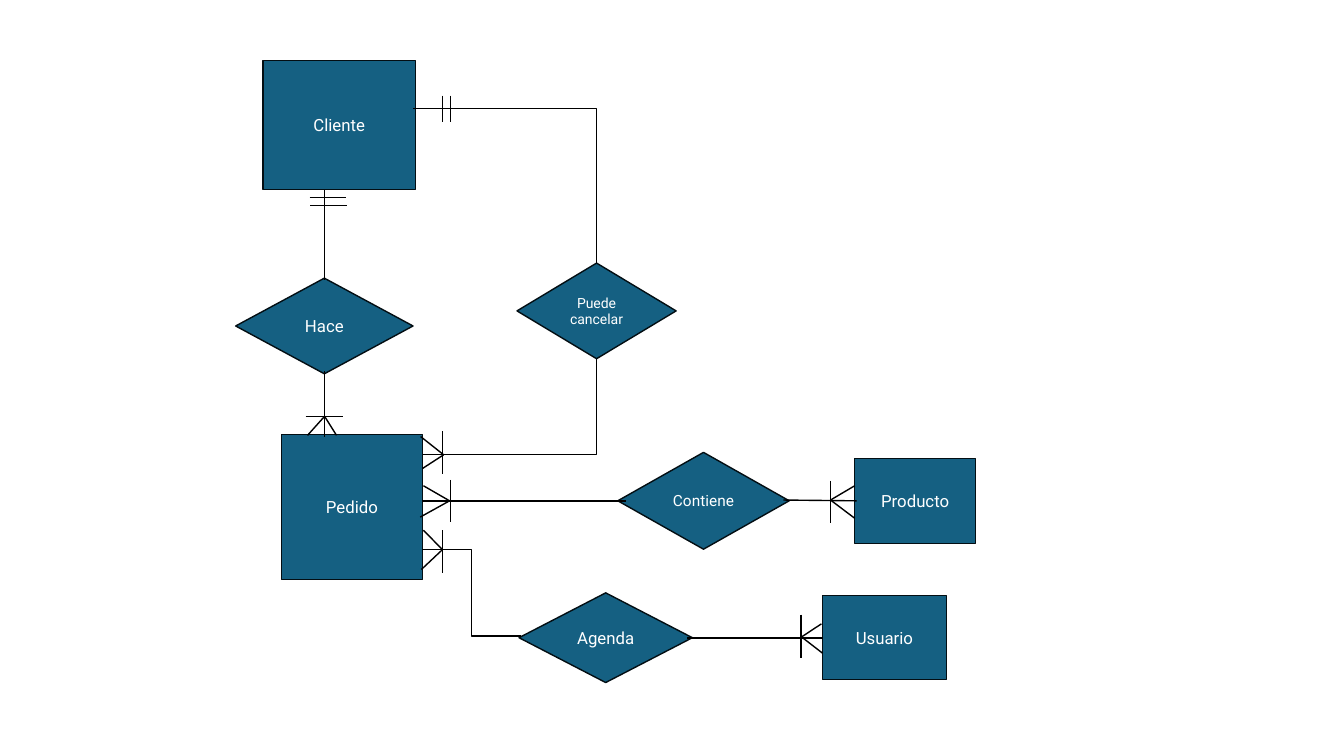
from lxml import etree
from pptx import Presentation
from pptx.dml.color import RGBColor
from pptx.enum.shapes import MSO_CONNECTOR, MSO_SHAPE
from pptx.enum.text import MSO_ANCHOR, PP_ALIGN
from pptx.oxml.ns import qn
from pptx.util import Cm, Pt

ENTITY = MSO_SHAPE.RECTANGLE
RELATION = MSO_SHAPE.FLOWCHART_DECISION
STRAIGHT = MSO_CONNECTOR.STRAIGHT
ELBOW = MSO_CONNECTOR.ELBOW
CENTER = PP_ALIGN.CENTER
MIDDLE = MSO_ANCHOR.MIDDLE

BLUE = RGBColor(0x15, 0x60, 0x82)
OUTLINE = RGBColor(0x03, 0x0E, 0x13)
BLACK = RGBColor(0, 0, 0)
WHITE = RGBColor(255, 255, 255)
FONT = "Roboto"

# All lengths below are centimetres.
# text, shape, left, top, width, height, font size
NODES = [
    ("Cliente", ENTITY, 6.63, 1.52, 3.84, 3.25, 12),
    ("Hace", RELATION, 5.94, 7.01, 4.47, 2.41, 12),
    ("Pedido", ENTITY, 7.09, 10.95, 3.56, 3.66, 12),
    ("Puede cancelar", RELATION, 13.03, 6.63, 4.01, 2.41, 10),
    ("Contiene", RELATION, 15.57, 11.4, 4.32, 2.44, 11),
    ("Agenda", RELATION, 13.08, 14.94, 4.37, 2.26, 12),
    ("Producto", ENTITY, 21.54, 11.56, 3.05, 2.13, 12),
    ("Usuario", ENTITY, 20.73, 15.01, 3.12, 2.11, 12),
]

STRAIGHT_LINKS = [
    ((8.18, 4.8), (8.18, 7.06)),
    ((8.18, 9.35), (8.18, 11.0)),
    ((10.64, 12.62), (15.77, 12.62)),
    ((19.74, 12.6), (21.59, 12.62)),
    ((17.32, 16.08), (20.73, 16.08)),
]

# start, end, preset geometry
BENT_LINKS = [
    ((10.64, 13.84), (13.13, 16.03), "bentConnector3"),
    ((10.41, 2.74), (15.04, 6.63), "bentConnector2"),
    ((10.67, 11.46), (15.04, 9.04), "bentConnector2"),
]

# Bars across a link that mark "exactly one"
ONE_BARS = [
    ((7.8, 4.98), (8.71, 4.98)),
    ((7.82, 5.18), (8.74, 5.18)),
    ((11.15, 2.41), (11.15, 3.07)),
    ((11.35, 2.41), (11.35, 3.07)),
]

# Crow's feet that mark "one or many": bar start, bar end, apex, two toes
CROW_FEET = [
    ((7.7, 10.49), (8.64, 10.49), (8.18, 10.49), (7.75, 10.97), (8.48, 10.97)),
    ((11.15, 10.87), (11.15, 11.94), (11.18, 11.46), (10.6, 11.0), (10.64, 11.81)),
    ((11.35, 12.09), (11.35, 13.16), (11.33, 12.62), (10.67, 12.24), (10.59, 13.03)),
    ((11.15, 13.36), (11.15, 14.43), (11.15, 13.85), (10.67, 13.36), (10.62, 14.35)),
    ((20.93, 12.12), (20.93, 13.18), (20.93, 12.6), (21.54, 12.24), (21.54, 13.06)),
    ((20.19, 15.49), (20.19, 16.59), (20.2, 16.05), (20.7, 15.72), (20.73, 16.46)),
]


def add_node(page, text, kind, left, top, width, height, size):
    node = page.shapes.add_shape(kind, Cm(left), Cm(top), Cm(width), Cm(height))
    node.shadow.inherit = False
    node.fill.solid()
    node.fill.fore_color.rgb = BLUE
    node.line.color.rgb = OUTLINE
    node.line.width = Pt(1)
    frame = node.text_frame
    frame.word_wrap = True
    frame.vertical_anchor = MIDDLE
    frame.text = text
    para = frame.paragraphs[0]
    para.alignment = CENTER
    font = para.runs[0].font
    font.name = FONT
    font.size = Pt(size)
    font.color.rgb = WHITE


def add_link(page, start, end, kind=STRAIGHT):
    ends = [Cm(value) for value in (*start, *end)]
    link = page.shapes.add_connector(kind, *ends)
    link.line.color.rgb = BLACK
    link.line.width = Pt(1)
    etree.SubElement(link._element.spPr, qn("a:effectLst"))
    return link


def main():
    deck = Presentation()
    deck.slide_width, deck.slide_height = Cm(33.87), Cm(19.05)
    page = deck.slides.add_slide(deck.slide_layouts[6])

    for node in NODES:
        add_node(page, *node)
    for start, end, geometry in BENT_LINKS:
        link = add_link(page, start, end, ELBOW)
        link._element.spPr.find(qn("a:prstGeom")).set("prst", geometry)
    for start, end in STRAIGHT_LINKS + ONE_BARS:
        add_link(page, start, end)
    for bar_start, bar_end, apex, *toes in CROW_FEET:
        add_link(page, bar_start, bar_end)
        for toe in toes:
            add_link(page, apex, toe)

    deck.save("out.pptx")


if __name__ == "__main__":
    main()
